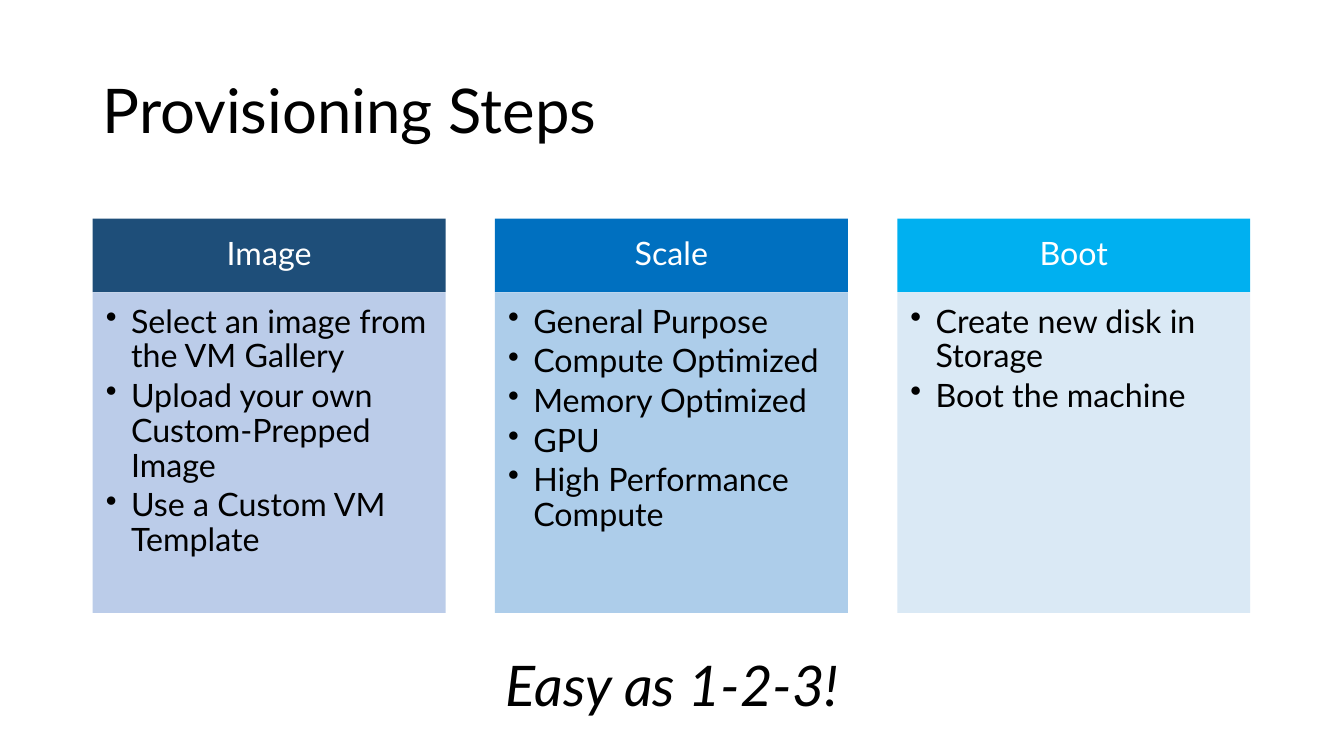
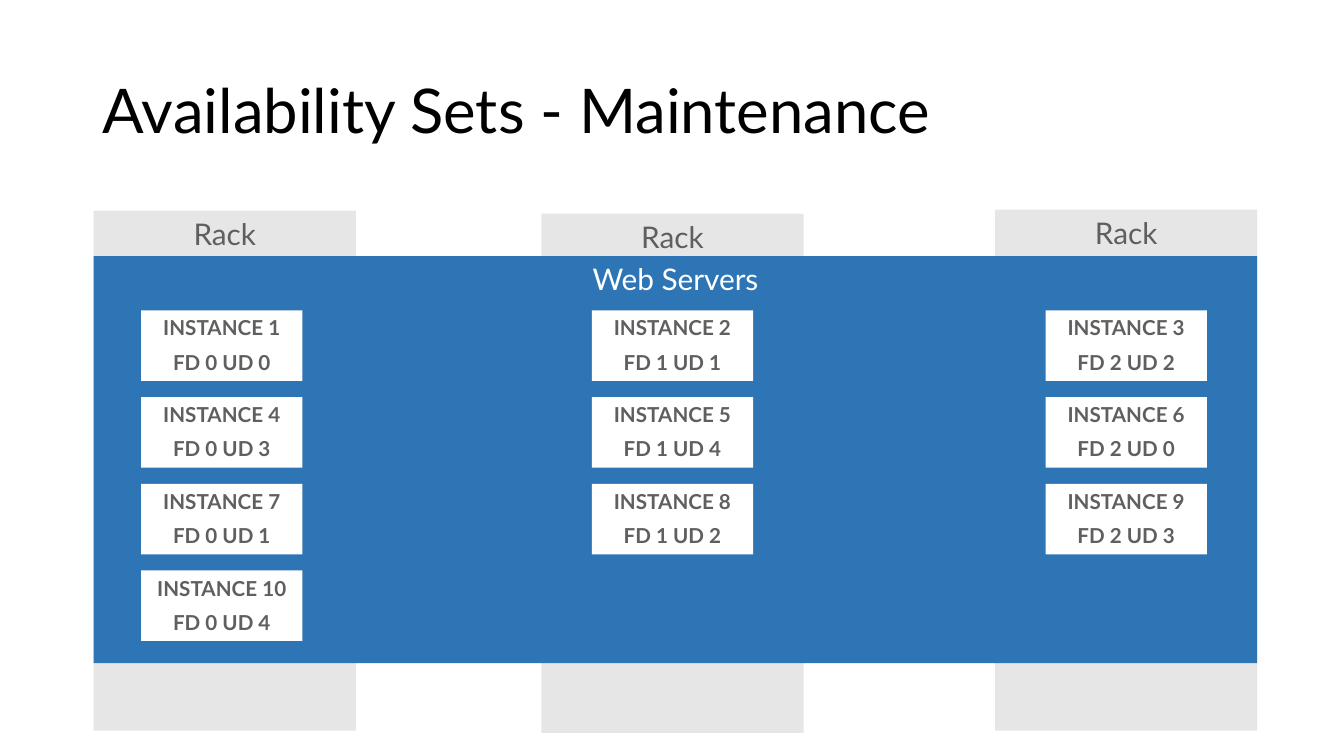
from dataclasses import dataclass

from lxml.etree import SubElement
from pptx import Presentation
from pptx.dml.color import RGBColor
from pptx.enum.shapes import MSO_SHAPE
from pptx.enum.text import MSO_ANCHOR, PP_ALIGN
from pptx.oxml.ns import qn
from pptx.shapes.autoshape import Shape
from pptx.slide import Slide
from pptx.util import Inches, Pt

FONT = "Lato"
BLACK, WHITE, GREY = "000000", "FFFFFF", "5F5F5F"
RACK_FILL, SET_FILL = "E7E6E6", "2E75B5"
INSTANCE_COUNT, UPDATE_DOMAINS = 10, 5
INSTANCE_TOP, INSTANCE_PITCH = 3.08, 0.86
STEP_LEFT, STEP_PITCH, STEP_WIDTH = 0.92, 3.99, 3.5


@dataclass(frozen=True)
class Area:
    """A rectangle on the page, in inches."""
    left: float
    top: float
    width: float
    height: float


@dataclass(frozen=True)
class TextStyle:
    """The look of a block of text; sizes in points, insets in inches."""
    size: float
    color: str = BLACK
    bold: bool = False
    italic: bool = False
    align: PP_ALIGN = PP_ALIGN.CENTER
    anchor: MSO_ANCHOR = MSO_ANCHOR.TOP
    line_spacing: float = 1.0
    space_after: float = 0
    insets: tuple[float, float, float, float] = (0.1, 0.05, 0.1, 0.05)
    bullet: bool = False


@dataclass(frozen=True)
class Step:
    """One provisioning step with its two fills."""
    name: str
    header_fill: str
    body_fill: str
    points: tuple[str, ...]


@dataclass(frozen=True)
class Rack:
    """One rack and the left edge of its instances."""
    area: Area
    instance_left: float


TITLE = TextStyle(44, align=PP_ALIGN.LEFT, anchor=MSO_ANCHOR.MIDDLE, line_spacing=0.9)
STEP_HEADER = TextStyle(23, WHITE, anchor=MSO_ANCHOR.MIDDLE, line_spacing=0.9,
                        insets=(0.18, 0.1, 0.18, 0.1))
STEP_BODY = TextStyle(23, align=PP_ALIGN.LEFT, line_spacing=0.9, space_after=3.45,
                      insets=(0.13, 0.13, 0.18, 0.2), bullet=True)
SLOGAN = TextStyle(40, italic=True)
RACK_LABEL = TextStyle(21.3, GREY)
SET_LABEL = TextStyle(21.3, WHITE)
INSTANCE_LABEL = TextStyle(14.7, GREY, bold=True)

STEPS = (
    Step("Image", "1E4E79", "B4C7E7",
         ("Select an image from the VM Gallery", "Upload your own Custom-Prepped Image",
          "Use a Custom VM Template")),
    Step("Scale", "0070C0", "A5C8E8",
         ("General Purpose", "Compute Optimized", "Memory Optimized", "GPU",
          "High Performance Compute")),
    Step("Boot", "00B0F0", "D7E7F5", ("Create new disk in Storage", "Boot the machine")),
)
RACKS = (
    Rack(Area(0.93, 2.09, 2.6, 5.16), 1.4),
    Rack(Area(5.37, 2.12, 2.6, 5.15), 5.87),
    Rack(Area(9.87, 2.08, 2.6, 5.17), 10.37),
)


def rgb(value: str) -> RGBColor:
    """Turn a hex string into a colour."""
    return RGBColor.from_string(value)


def lengths(area: Area) -> tuple[Inches, ...]:
    """Give the four lengths of an area."""
    return tuple(Inches(n) for n in (area.left, area.top, area.width, area.height))


def write(box: Shape, lines: tuple[str, ...], style: TextStyle) -> None:
    """Fill a box with one styled paragraph per line."""
    frame = box.text_frame
    frame.word_wrap = True
    frame.vertical_anchor = style.anchor
    (frame.margin_left, frame.margin_top,
     frame.margin_right, frame.margin_bottom) = map(Inches, style.insets)
    frame.text = "\n".join(lines)
    for para in frame.paragraphs:
        para.alignment = style.align
        para.line_spacing = style.line_spacing
        para.space_after = Pt(style.space_after)
        if style.bullet:
            properties = para._p.get_or_add_pPr()
            properties.set("marL", str(Inches(0.25)))
            properties.set("indent", str(Inches(-0.25)))
            SubElement(properties, qn("a:buChar")).set("char", "•")
        font = para.font
        font.name, font.size = FONT, Pt(style.size)
        font.bold, font.italic = style.bold, style.italic
        font.color.rgb = rgb(style.color)


def add_text(page: Slide, area: Area, text: str, style: TextStyle) -> None:
    """Add a text box with one line of text."""
    write(page.shapes.add_textbox(*lengths(area)), (text,), style)


def add_panel(page: Slide, area: Area, fill: str, lines: tuple[str, ...],
              style: TextStyle, opacity: int = 100) -> None:
    """Add a borderless filled rectangle with text."""
    panel = page.shapes.add_shape(MSO_SHAPE.RECTANGLE, *lengths(area))
    panel.shadow.inherit = False
    panel.fill.solid()
    panel.fill.fore_color.rgb = rgb(fill)
    panel.line.fill.background()
    if opacity < 100:
        color = panel._element.spPr.find(qn("a:solidFill")).find(qn("a:srgbClr"))
        SubElement(color, qn("a:alpha")).set("val", str(opacity * 1000))
    write(panel, lines, style)


def add_page(deck: Presentation, title: str) -> Slide:
    """Add a blank page with its title."""
    page = deck.slides.add_slide(deck.slide_layouts[6])
    add_text(page, Area(0.92, 0.4, 11.5, 1.45), title, TITLE)
    return page


def add_step(page: Slide, index: int, step: Step) -> None:
    """Draw one step column: header above bullet list."""
    left = STEP_LEFT + index * STEP_PITCH
    add_panel(page, Area(left, 2.17, STEP_WIDTH, 0.73), step.header_fill,
              (step.name,), STEP_HEADER)
    add_panel(page, Area(left, 2.9, STEP_WIDTH, 3.18), step.body_fill,
              step.points, STEP_BODY, opacity=90)


def add_instance(page: Slide, index: int) -> None:
    """Draw one instance, dealt in turn to fault and update domains."""
    row, fault_domain = divmod(index, len(RACKS))
    left = RACKS[fault_domain].instance_left
    top = INSTANCE_TOP + row * INSTANCE_PITCH
    add_panel(page, Area(left, top, 1.6, 0.7), WHITE,
              (f"INSTANCE {index + 1}",), INSTANCE_LABEL)
    add_text(page, Area(left, top + 0.34, 1.6, 0.35),
             f"FD {fault_domain} UD {index % UPDATE_DOMAINS}", INSTANCE_LABEL)


def build_steps(deck: Presentation) -> None:
    """Build the provisioning page."""
    page = add_page(deck, "Provisioning Steps")
    for index, step in enumerate(STEPS):
        add_step(page, index, step)
    add_text(page, Area(0.92, 6.4, 11.5, 0.77), "Easy as 1-2-3!", SLOGAN)


def build_availability(deck: Presentation) -> None:
    """Build the availability set page."""
    page = add_page(deck, "Availability Sets - Maintenance")
    for rack in RACKS:
        add_panel(page, rack.area, RACK_FILL, ("Rack",), RACK_LABEL)
    add_panel(page, Area(0.93, 2.54, 11.54, 4.04), SET_FILL, ("Web Servers",), SET_LABEL)
    for index in range(INSTANCE_COUNT):
        add_instance(page, index)


def main() -> None:
    """Build and save the deck."""
    deck = Presentation()
    deck.slide_width, deck.slide_height = Inches(13.33), Inches(7.5)
    build_steps(deck)
    build_availability(deck)
    deck.save("out.pptx")


main()
